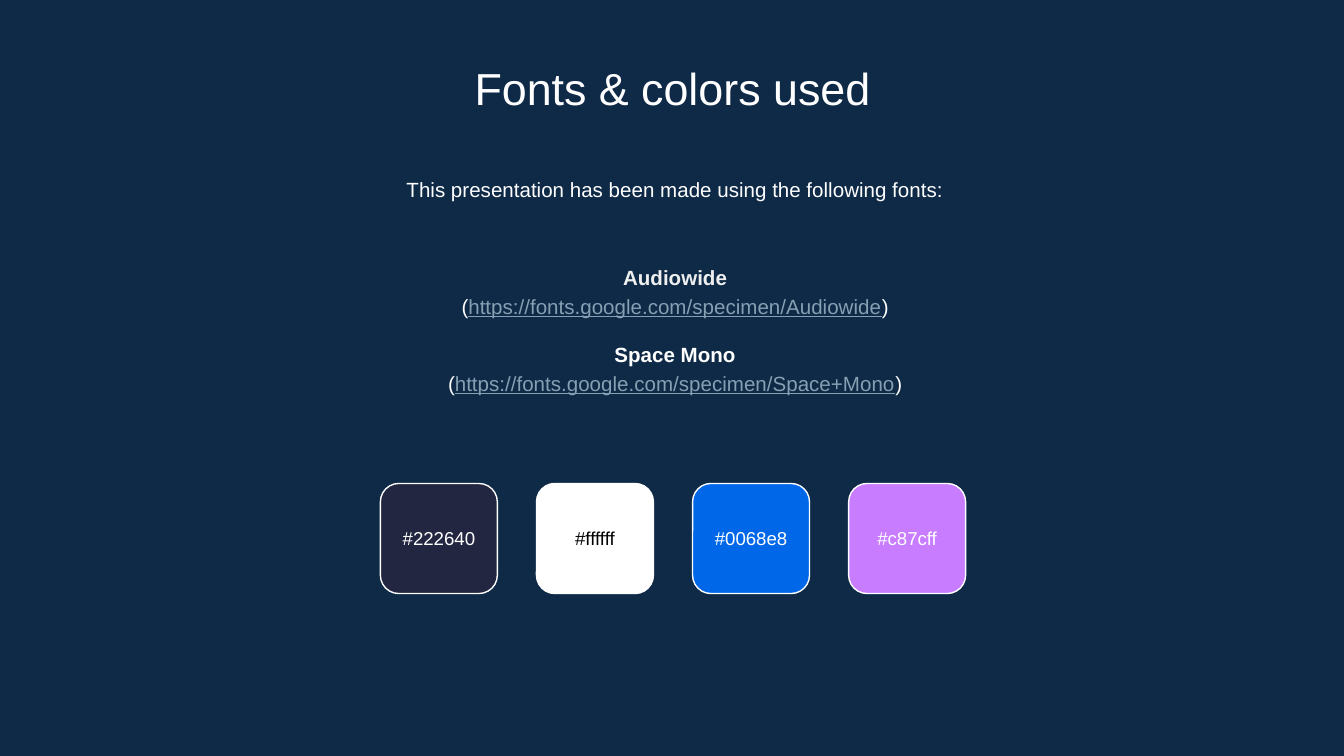
"""Build the slide that lists the fonts and colours of a presentation."""
from dataclasses import dataclass
from typing import NamedTuple

from pptx import Presentation
from pptx.dml.color import RGBColor as Rgb
from pptx.enum.shapes import MSO_SHAPE as Shape
from pptx.enum.text import MSO_ANCHOR as Anchor, PP_ALIGN as Align
from pptx.slide import Slide
from pptx.text.text import TextFrame, _Paragraph as Paragraph
from pptx.util import Cm, Pt


@dataclass(frozen=True)
class Theme:
    font: str = "Arial"
    background: str = "0E2A47"
    white: str = "FFFFFF"
    black: str = "000000"
    soft_white: str = "EFEFEF"
    link: str = "869FB2"
    title_size: float = 24
    body_size: float = 11
    label_size: float = 10
    line_spacing: float = 1.15
    entry_gap: float = 11
    outline: float = 0.75
    inset: float = 0.25


class Area(NamedTuple):
    left: float
    top: float
    width: float
    height: float


class Span(NamedTuple):
    text: str
    color: str
    bold: bool = False
    underline: bool = False


class FontEntry(NamedTuple):
    name: str
    address: str
    color: str


class Swatch(NamedTuple):
    code: str
    text_color: str


THEME = Theme()
TITLE_AREA = Area(2.92, 0.89, 19.58, 1.35)
INTRO_AREA = Area(2.97, 3.02, 19.58, 1.22)
FONTS_AREA = Area(2.97, 4.47, 19.58, 3.48)
FIRST_SWATCH = Area(7.19, 9.14, 2.21, 2.08)
SWATCH_PITCH = 2.95
FONT_ENTRIES = (
    FontEntry("Audiowide", "https://fonts.google.com/specimen/Audiowide", THEME.soft_white),
    FontEntry("Space Mono", "https://fonts.google.com/specimen/Space+Mono", THEME.white),
)
SWATCHES = (
    Swatch("#222640", THEME.white),
    Swatch("#ffffff", THEME.black),
    Swatch("#0068e8", THEME.white),
    Swatch("#c87cff", THEME.white),
)


def to_rgb(color: str) -> Rgb:
    """Turn a hexadecimal code into a colour."""
    return Rgb.from_string(color.lstrip("#").upper())


def prepare_frame(frame: TextFrame, anchor: Anchor, wrap: bool = True) -> None:
    """Set the insets, anchor and wrapping of a text frame."""
    frame.word_wrap = wrap
    frame.vertical_anchor = anchor
    frame.margin_left = frame.margin_right = Cm(THEME.inset)
    frame.margin_top = frame.margin_bottom = Cm(THEME.inset)


def add_frame(page: Slide, area: Area, anchor: Anchor = Anchor.TOP) -> TextFrame:
    """Add a text box and return its frame."""
    box = page.shapes.add_textbox(*map(Cm, area))
    prepare_frame(box.text_frame, anchor)
    return box.text_frame


def write(para: Paragraph, size: float, spans: list[Span], spacing: float = 1.0) -> None:
    """Write centred spans into a paragraph."""
    para.alignment = Align.CENTER
    para.line_spacing = spacing
    for span in spans:
        run = para.add_run()
        run.text = span.text
        run.font.name = THEME.font
        run.font.size = Pt(size)
        run.font.bold = span.bold
        run.font.underline = span.underline
        run.font.color.rgb = to_rgb(span.color)


def add_font_list(page: Slide) -> None:
    """List each font with its address below it."""
    frame = add_frame(page, FONTS_AREA, Anchor.MIDDLE)
    for index, entry in enumerate(FONT_ENTRIES):
        name = frame.add_paragraph() if index else frame.paragraphs[0]
        if index:
            name.space_before = Pt(THEME.entry_gap)
        write(name, THEME.body_size, [Span(entry.name, entry.color, bold=True)],
              THEME.line_spacing)
        write(frame.add_paragraph(), THEME.body_size, [
            Span("(", THEME.white),
            Span(entry.address, THEME.link, underline=True),
            Span(")", THEME.white),
        ], THEME.line_spacing)


def add_swatch(page: Slide, swatch: Swatch, area: Area) -> None:
    """Draw a rounded square labelled with its own colour code."""
    box = page.shapes.add_shape(Shape.ROUNDED_RECTANGLE, *map(Cm, area))
    box.shadow.inherit = False
    box.fill.solid()
    box.fill.fore_color.rgb = to_rgb(swatch.code)
    box.line.color.rgb = to_rgb(THEME.white)
    box.line.width = Pt(THEME.outline)
    prepare_frame(box.text_frame, Anchor.MIDDLE, wrap=False)
    write(box.text_frame.paragraphs[0], THEME.label_size,
          [Span(swatch.code, swatch.text_color)])


def main() -> None:
    """Build and save the deck."""
    deck = Presentation()
    deck.slide_width, deck.slide_height = Cm(25.4), Cm(14.29)
    page = deck.slides.add_slide(deck.slide_layouts[6])
    page.background.fill.solid()
    page.background.fill.fore_color.rgb = to_rgb(THEME.background)

    write(add_frame(page, TITLE_AREA).paragraphs[0], THEME.title_size,
          [Span("Fonts & colors used", THEME.white)])
    write(add_frame(page, INTRO_AREA).paragraphs[0], THEME.body_size,
          [Span("This presentation has been made using the following fonts:", THEME.white)],
          THEME.line_spacing)
    add_font_list(page)
    for index, swatch in enumerate(SWATCHES):
        left = FIRST_SWATCH.left + index * SWATCH_PITCH
        add_swatch(page, swatch, FIRST_SWATCH._replace(left=left))
    deck.save("out.pptx")


if __name__ == "__main__":
    main()
